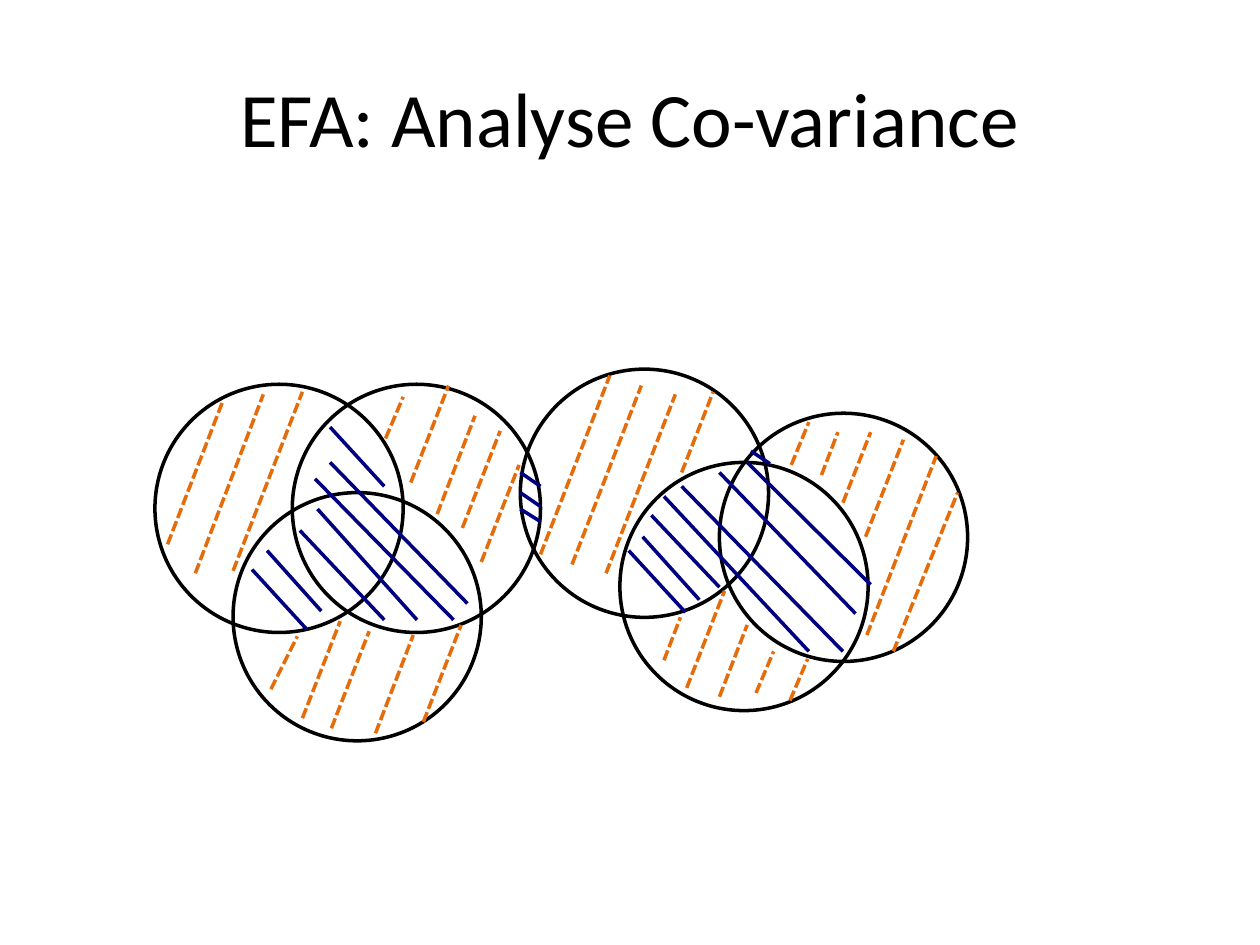
from typing import NamedTuple

from lxml import etree
from pptx import Presentation
from pptx.dml.color import RGBColor
from pptx.enum.dml import MSO_LINE
from pptx.enum.shapes import MSO_CONNECTOR, MSO_SHAPE
from pptx.enum.text import MSO_ANCHOR, PP_ALIGN
from pptx.oxml.ns import qn
from pptx.util import Inches, Pt

STRAIGHT = MSO_CONNECTOR.STRAIGHT
OVAL = MSO_SHAPE.OVAL
SYS_DASH = MSO_LINE.SQUARE_DOT
MIDDLE = MSO_ANCHOR.MIDDLE
CENTER = PP_ALIGN.CENTER

BLACK, NAVY, ORANGE = "000000", "000080", "E46C0A"
DIAMETER = 1.97
LINE_WIDTH = 2


class Circle(NamedTuple):
    left: float
    top: float


class Hatch(NamedTuple):
    x1: float
    y1: float
    x2: float
    y2: float


VARIABLES = [
    Circle(2.32, 3.05),
    Circle(1.23, 3.05),
    Circle(1.85, 3.91),
    Circle(4.13, 2.93),
    Circle(4.92, 3.67),
    Circle(5.71, 3.28),
]

SHARED_VARIANCE = [
    Hatch(2.62, 3.39, 3.05, 3.86),
    Hatch(2.62, 3.67, 3.71, 4.79),
    Hatch(2.52, 4.04, 3.31, 4.92),
    Hatch(2.38, 4.21, 3.05, 4.92),
    Hatch(2.12, 4.37, 2.55, 4.85),
    Hatch(2, 4.52, 2.43, 4.99),
    Hatch(4.13, 3.75, 4.29, 3.86),
    Hatch(2.5, 3.8, 3.6, 4.92),
    Hatch(4.13, 3.91, 4.29, 4.02),
    Hatch(4.13, 4.04, 4.29, 4.14),
    Hatch(5.71, 3.75, 6.79, 4.87),
    Hatch(5.93, 3.67, 6.91, 4.64),
    Hatch(5.96, 3.58, 6.11, 3.68),
    Hatch(5.41, 3.86, 6.69, 5.17),
    Hatch(5.27, 3.94, 6.42, 5.17),
    Hatch(5.17, 4.09, 5.71, 4.66),
    Hatch(5.1, 4.26, 5.55, 4.76),
    Hatch(4.99, 4.37, 5.44, 4.86),
]

UNIQUE_VARIANCE = [
    Hatch(1.33, 4.32, 1.77, 3.18),
    Hatch(1.55, 4.55, 2.09, 3.13),
    Hatch(1.85, 4.53, 2.4, 3.11),
    Hatch(3.06, 3.48, 3.2, 3.15),
    Hatch(3.26, 3.83, 3.56, 3.06),
    Hatch(3.47, 4.08, 3.77, 3.3),
    Hatch(3.67, 4.19, 3.97, 3.42),
    Hatch(3.82, 4.46, 4.12, 3.69),
    Hatch(3.36, 5.73, 3.66, 4.96),
    Hatch(2.98, 5.82, 3.28, 5.04),
    Hatch(2.63, 5.78, 2.93, 5.01),
    Hatch(2.4, 5.7, 2.7, 4.93),
    Hatch(2.15, 5.47, 2.36, 5.05),
    Hatch(4.29, 4.4, 4.84, 2.98),
    Hatch(4.54, 4.48, 5.09, 3.06),
    Hatch(4.81, 4.55, 5.36, 3.13),
    Hatch(5.41, 3.75, 5.66, 3.11),
    Hatch(6.28, 3.69, 6.42, 3.35),
    Hatch(6.52, 3.77, 6.65, 3.43),
    Hatch(6.69, 3.99, 6.91, 3.43),
    Hatch(6.87, 4.26, 7.17, 3.49),
    Hatch(6.88, 5.04, 7.43, 3.62),
    Hatch(7.09, 5.17, 7.6, 3.91),
    Hatch(5.45, 5.46, 5.75, 4.69),
    Hatch(5.27, 5.24, 5.4, 4.9),
    Hatch(5.71, 5.53, 5.93, 4.96),
    Hatch(6, 5.5, 6.14, 5.17),
    Hatch(6.27, 5.56, 6.41, 5.23),
]


def rgb(color: str) -> RGBColor:
    return RGBColor.from_string(color)


def set_title(slide, text: str) -> None:
    sp = slide.shapes.title
    sp.left, sp.top = Inches(0.5), Inches(0.3)
    sp.width, sp.height = Inches(9), Inches(1.25)
    tf = sp.text_frame
    tf.vertical_anchor = MIDDLE
    p = tf.paragraphs[0]
    p.alignment = CENTER
    r = p.add_run()
    r.text = text
    r.font.name = "Calibri"
    r.font.size = Pt(44)
    r.font.color.rgb = rgb(BLACK)


def draw_circle(slide, circle: Circle) -> None:
    sp = slide.shapes.add_shape(
        OVAL, Inches(circle.left), Inches(circle.top), Inches(DIAMETER), Inches(DIAMETER)
    )
    sp.shadow.inherit = False
    sp.fill.background()
    sp.line.color.rgb = rgb(BLACK)
    sp.line.width = Pt(LINE_WIDTH)


def draw_hatch(slide, hatch: Hatch, color: str, dashed: bool = False) -> None:
    line = slide.shapes.add_connector(STRAIGHT, *(Inches(v) for v in hatch))
    line.line.color.rgb = rgb(color)
    line.line.width = Pt(LINE_WIDTH)
    if dashed:
        line.line.dash_style = SYS_DASH
    etree.SubElement(line._element.spPr, qn("a:effectLst"))


def main() -> None:
    prs = Presentation()
    prs.slide_width, prs.slide_height = Inches(10), Inches(7.5)
    slide = prs.slides.add_slide(prs.slide_layouts[5])
    set_title(slide, "EFA: Analyse Co-variance")
    for circle in VARIABLES:
        draw_circle(slide, circle)
    for hatch in SHARED_VARIANCE:
        draw_hatch(slide, hatch, NAVY)
    for hatch in UNIQUE_VARIANCE:
        draw_hatch(slide, hatch, ORANGE, dashed=True)
    prs.save("out.pptx")


if __name__ == "__main__":
    main()
